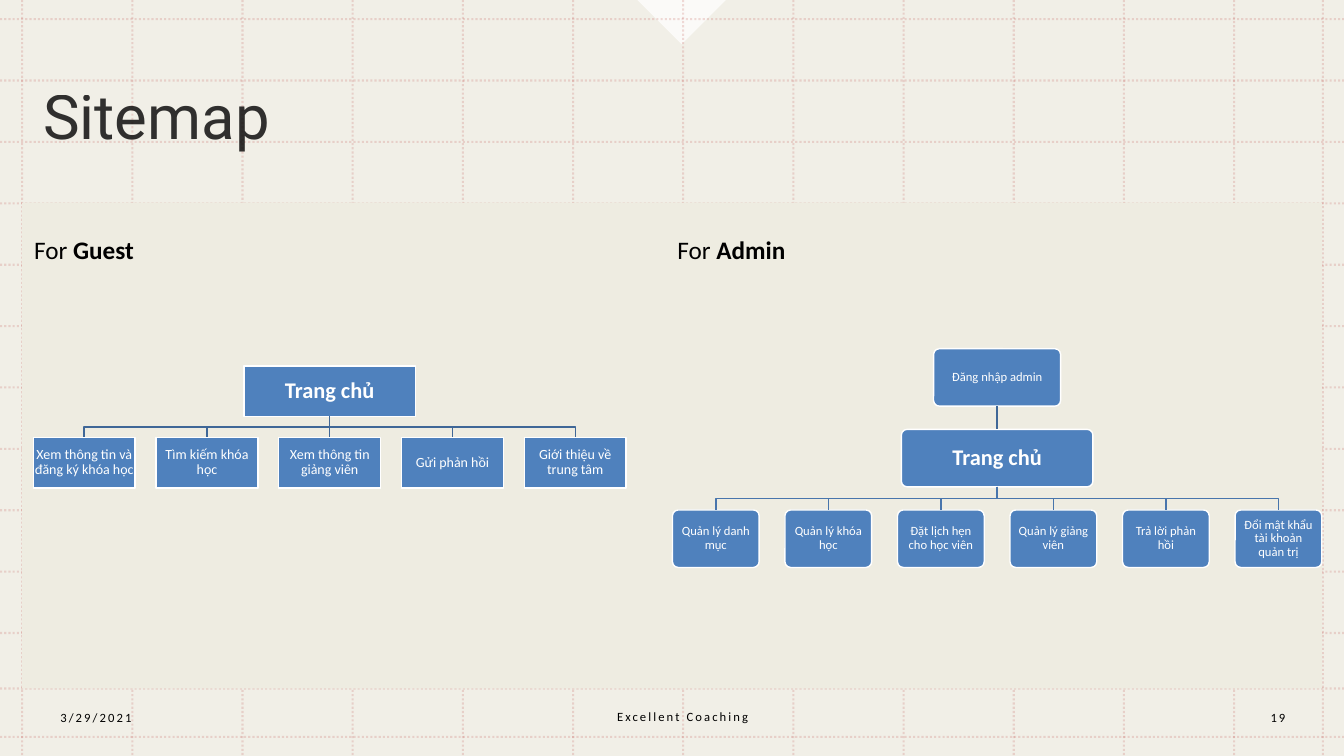
from dataclasses import dataclass

import pptx
import pptx.dml.color
import pptx.enum.dml
import pptx.enum.shapes
import pptx.enum.text
import pptx.oxml
import pptx.oxml.ns
import pptx.util

Inches = pptx.util.Inches
Pt = pptx.util.Pt
RGB = pptx.dml.color.RGBColor.from_string
Kind = pptx.enum.shapes.MSO_SHAPE
Align = pptx.enum.text.PP_ALIGN
Anchor = pptx.enum.text.MSO_ANCHOR
qn = pptx.oxml.ns.qn


@dataclass(frozen=True)
class Theme:
    body_font: str = "Calibri"
    title_font: str = "Roboto"
    paper: str = "EEECE1"
    white: str = "FFFFFF"
    ink: str = "000000"
    grid: str = "C0504D"
    node: str = "4F81BD"
    link: str = "3F6797"
    light_link: str = "4875AC"
    title_size: int = 44
    heading_size: int = 18
    home_size: int = 16
    footer_size: int = 9


@dataclass(frozen=True)
class TreeStyle:
    kind: Kind
    node_height: float
    level_gap: float
    child_width: float
    child_size: int
    inset: float
    home_inset: float
    branch: str


THEME = Theme()
GUEST_STYLE = TreeStyle(Kind.RECTANGLE, 0.5, 0.21, 1.01, 10, 0.01, 0.01, THEME.link)
ADMIN_STYLE = TreeStyle(Kind.ROUNDED_RECTANGLE, 0.57, 0.23, 0.86, 9, 0.04, 0.07,
                        THEME.light_link)


def set_opacity(element, percent):
    for colour in element.iter(qn("a:srgbClr")):
        alpha = pptx.oxml.parse_xml(
            f'<a:alpha {pptx.oxml.ns.nsdecls("a")} val="{percent * 1000}"/>')
        colour.append(alpha)


def format_run(run, size, colour, font=THEME.body_font, bold=False):
    run.font.size = Pt(size)
    run.font.name = font
    run.font.bold = bold
    run.font.color.rgb = RGB(colour)


def add_block(slide, kind, box, fill, outline=None):
    shape = slide.shapes.add_shape(kind, *map(Inches, box))
    shape.shadow.inherit = False
    shape.fill.solid()
    shape.fill.fore_color.rgb = RGB(fill)
    if outline:
        shape.line.color.rgb = RGB(outline)
        shape.line.width = Pt(1)
    else:
        shape.line.fill.background()
    return shape


def add_line(slide, start, end, colour, width):
    line = slide.shapes.add_connector(
        pptx.enum.shapes.MSO_CONNECTOR.STRAIGHT, *map(Inches, start + end))
    line.line.color.rgb = RGB(colour)
    line.line.width = Pt(width)
    return line


def remove_shadow(line):
    line.element.spPr.append(pptx.oxml.parse_xml(
        f'<a:effectLst {pptx.oxml.ns.nsdecls("a")}/>'))


def draw_background(slide, box):
    left, top, width, height = box
    set_opacity(add_block(slide, Kind.RECTANGLE, box, THEME.paper).element, 80)
    # Pointer at the top edge
    pointer = add_block(slide, Kind.RIGHT_TRIANGLE,
                        (left + 6.45, top - 0.31, 0.62, 0.62), THEME.white)
    pointer.rotation = 315
    set_opacity(pointer.element, 75)
    # Dotted grid
    columns = [0.22 + index * (12.24 - 0.22) / 11 for index in range(12)] + [13.12]
    rows = [0.19 + index * (6.28 - 0.19) / 10 for index in range(11)] + [6.83, 7.31]
    ends = [((left + x, top), (left + x, top + height)) for x in columns]
    ends += [((left, top + y), (left + width, top + y)) for y in rows]
    for start, end in ends:
        line = add_line(slide, start, end, THEME.grid, 1.5)
        line.line.dash_style = pptx.enum.dml.MSO_LINE.ROUND_DOT
        set_opacity(line.element, 20)
        remove_shadow(line)
    # Content panel
    add_block(slide, Kind.RECTANGLE, (left + 0.22, top + 2.01, 12.89, 4.82), THEME.paper)


def place_title(slide, box, text):
    title = slide.shapes.title
    title.left, title.top, title.width, title.height = map(Inches, box)
    frame = title.text_frame
    frame.text = text
    frame.word_wrap = True
    frame.vertical_anchor = Anchor.MIDDLE
    paragraph = frame.paragraphs[0]
    paragraph.alignment = Align.LEFT
    paragraph.line_spacing = 0.9
    format_run(paragraph.runs[0], THEME.title_size, THEME.ink, THEME.title_font)
    set_opacity(title.element, 80)
    # Bring the title in front of the background
    title.element.getparent().append(title.element)


def add_heading(slide, box, lead, audience):
    frame = slide.shapes.add_textbox(*map(Inches, box)).text_frame
    frame.word_wrap = True
    for text, bold in ((lead, False), (audience, True)):
        run = frame.paragraphs[0].add_run()
        run.text = text
        format_run(run, THEME.heading_size, THEME.ink, bold=bold)


def add_footer(slide, box, text, alignment):
    frame = slide.shapes.add_textbox(*map(Inches, box)).text_frame
    frame.word_wrap = True
    frame.vertical_anchor = Anchor.MIDDLE
    frame.text = text
    paragraph = frame.paragraphs[0]
    paragraph.alignment = alignment
    format_run(paragraph.runs[0], THEME.footer_size, THEME.ink)
    paragraph.runs[0].font._element.set("spc", "150")


def add_node(slide, style, centre, top, width, text, home=False):
    node = add_block(slide, style.kind,
                     (centre - width / 2, top, width, style.node_height),
                     THEME.node, THEME.white)
    if style.kind == Kind.ROUNDED_RECTANGLE:
        node.adjustments[0] = 0.1
    frame = node.text_frame
    frame.text = text
    frame.word_wrap = True
    frame.vertical_anchor = Anchor.MIDDLE
    inset = Inches(style.home_inset if home else style.inset)
    frame.margin_left = frame.margin_right = inset
    frame.margin_top = frame.margin_bottom = inset
    paragraph = frame.paragraphs[0]
    paragraph.alignment = Align.CENTER
    paragraph.line_spacing = 0.9
    size = THEME.home_size if home else style.child_size
    format_run(paragraph.runs[0], size, THEME.white, bold=home)
    return node


def join_nodes(slide, parent, child, colour):
    x1, y1 = parent.left + parent.width // 2, parent.top + parent.height
    x2, y2 = child.left + child.width // 2, child.top
    if abs(x1 - x2) < Inches(0.01):
        link = add_line(slide, (0, 0), (0, 0), colour, 1)
        link.begin_connect(parent, 2)
        link.end_connect(child, 0)
        remove_shadow(link)
        return
    middle = (y1 + y2) // 2
    builder = slide.shapes.build_freeform(x1, y1)
    builder.add_line_segments([(x1, middle), (x2, middle), (x2, y2)], close=False)
    branch = builder.convert_to_shape()
    branch.shadow.inherit = False
    branch.fill.background()
    branch.line.color.rgb = RGB(colour)
    branch.line.width = Pt(1)


def draw_tree(slide, box, style, trunk, children):
    left, top, width = box
    centre = left + width / 2
    parent = None
    # Trunk: one node a level
    for text, node_width, home in trunk:
        node = add_node(slide, style, centre, top, node_width, text, home)
        if parent is not None:
            join_nodes(slide, parent, node, THEME.link)
        parent = node
        top += style.node_height + style.level_gap
    # Children spread evenly over the box
    step = (width - style.child_width) / (len(children) - 1)
    for index, text in enumerate(children):
        child = add_node(slide, style, left + style.child_width / 2 + index * step,
                         top, style.child_width, text)
        join_nodes(slide, parent, child, style.branch)


def main():
    presentation = pptx.Presentation()
    presentation.slide_width, presentation.slide_height = Inches(13.33), Inches(7.5)
    slide = presentation.slides.add_slide(presentation.slide_layouts[5])
    draw_background(slide, (0, 0, 13.33, 7.5))
    place_title(slide, (0.33, 0.37, 12.58, 1.64), "Sitemap")
    add_footer(slide, (0.5, 6.92, 2.8, 0.4), "3/29/2021", Align.LEFT)
    add_footer(slide, (4.59, 6.91, 4.36, 0.4), "Excellent Coaching", Align.CENTER)
    add_footer(slide, (12.24, 6.92, 0.87, 0.4), "19", Align.CENTER)
    draw_tree(slide, (0.33, 3.63, 5.88), GUEST_STYLE, [("Trang chủ", 1.7, True)],
              ["Xem thông tin và đăng ký khóa học", "Tìm kiếm khóa học",
               "Xem thông tin giảng viên", "Gửi phản hồi", "Giới thiệu về trung tâm"])
    draw_tree(slide, (6.67, 3.46, 6.44), ADMIN_STYLE,
              [("Đăng nhập admin", 1.26, False), ("Trang chủ", 1.9, True)],
              ["Quản lý danh mục", "Quản lý khóa học", "Đặt lịch hẹn cho học viên",
               "Quản lý giảng viên", "Trả lời phản hồi", "Đổi mật khẩu tài khoản quản trị"])
    add_heading(slide, (0.24, 2.28, 5.91, 0.4), "For ", "Guest")
    add_heading(slide, (6.62, 2.28, 5.91, 0.4), "For ", "Admin")
    presentation.save("out.pptx")


if __name__ == "__main__":
    main()
